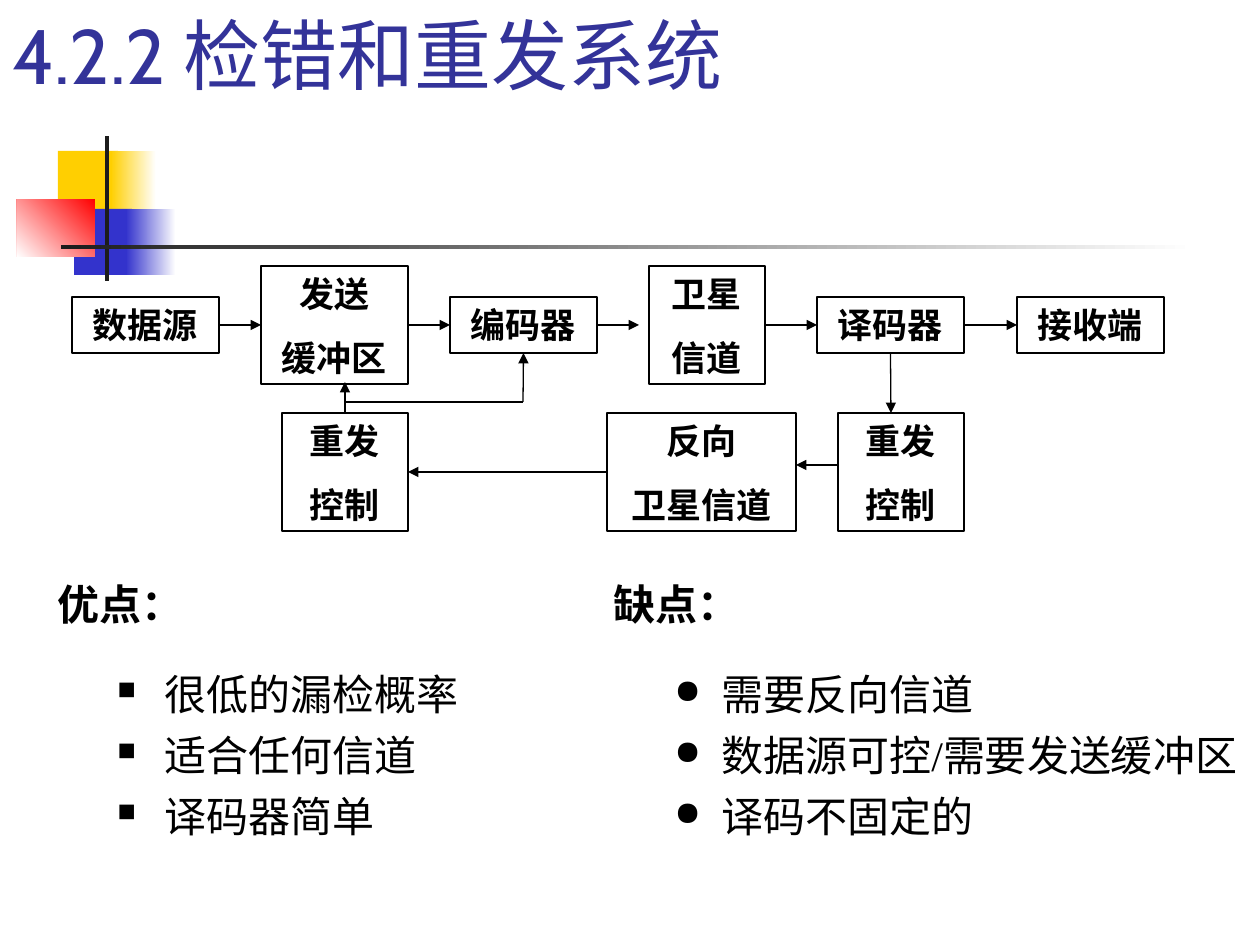
"""Build the slide on error detection and retransmission systems."""
from dataclasses import dataclass

from lxml.etree import SubElement
from pptx import Presentation
from pptx.dml.color import RGBColor
from pptx.enum.shapes import MSO_CONNECTOR, MSO_SHAPE
from pptx.enum.text import MSO_ANCHOR, MSO_AUTO_SIZE, PP_ALIGN
from pptx.oxml.ns import qn
from pptx.util import Emu, Pt

TOP, LEFT, BOTTOM, RIGHT = range(4)


@dataclass(frozen=True)
class Theme:
    title_font: str = "Cabin"
    body_font: str = "Times New Roman"
    title_size: int = 44
    body_size: int = 24
    box_size: int = 20
    line_width: float = 0.75
    title: str = "333399"
    ink: str = "000000"
    white: str = "FFFFFF"
    yellow: str = "FFCF01"
    blue: str = "3333CC"
    red: str = "FF0000"
    dark: str = "1C1C1C"


def px(length):
    return Emu(round(length * 914400 / 126))


def add_bullet(paragraph, character, percent, color):
    properties = paragraph._p.get_or_add_pPr()
    properties.set("marL", str(px(47)))
    properties.set("indent", str(px(-47)))
    bullet_color = SubElement(properties, qn("a:buClr"))
    SubElement(bullet_color, qn("a:srgbClr"), val=color)
    SubElement(properties, qn("a:buSzPct"), val=str(percent * 1000))
    SubElement(properties, qn("a:buChar"), char=character)


def write_text(frame, text, *, font, size, color, bold=False,
               align=PP_ALIGN.LEFT, gap=0, bullet=None):
    for index, line in enumerate(text.split("\n")):
        paragraph = frame.paragraphs[0] if index == 0 else frame.add_paragraph()
        if bullet:
            add_bullet(paragraph, *bullet, color)
        paragraph.alignment = align
        if index:
            paragraph.space_before = Pt(gap)
        run = paragraph.add_run()
        run.text = line
        run.font.name = font
        run.font.size = Pt(size)
        run.font.bold = bold
        run.font.color.rgb = RGBColor.from_string(color)


class SlideBuilder:
    def __init__(self, slide, theme):
        self.slide = slide
        self.theme = theme

    def rectangle(self, left, top, width, height):
        shape = self.slide.shapes.add_shape(
            MSO_SHAPE.RECTANGLE, px(left), px(top), px(width), px(height))
        shape.shadow.inherit = False
        return shape

    def block(self, bounds, color):
        shape = self.rectangle(*bounds)
        shape.line.fill.background()
        shape.fill.solid()
        shape.fill.fore_color.rgb = RGBColor.from_string(color)

    def fade(self, bounds, start, end, angle=180):
        shape = self.rectangle(*bounds)
        shape.line.fill.background()
        shape.fill.gradient()
        shape.fill.gradient_angle = angle
        for stop, color in zip(shape.fill.gradient_stops, (start, end)):
            stop.color.rgb = RGBColor.from_string(color)
        shape.fill.gradient_stops[0].position = 0
        shape.fill.gradient_stops[1].position = 1

    def box(self, text, left, top, width, height):
        shape = self.rectangle(left, top, width, height)
        shape.fill.background()
        shape.line.color.rgb = RGBColor.from_string(self.theme.ink)
        shape.line.width = Pt(self.theme.line_width)
        shape.text_frame.vertical_anchor = MSO_ANCHOR.TOP
        write_text(shape.text_frame, text, font=self.theme.body_font,
                   size=self.theme.box_size, color=self.theme.ink, bold=True,
                   align=PP_ALIGN.CENTER, gap=12.5)
        return shape

    def text(self, text, bounds, *, wrap=True, anchor=MSO_ANCHOR.TOP, **style):
        shape = self.slide.shapes.add_textbox(*map(px, bounds))
        frame = shape.text_frame
        frame.word_wrap = wrap
        frame.auto_size = MSO_AUTO_SIZE.NONE if wrap else MSO_AUTO_SIZE.SHAPE_TO_FIT_TEXT
        frame.vertical_anchor = anchor
        style = {"font": self.theme.body_font, "size": self.theme.body_size,
                 "color": self.theme.ink} | style
        write_text(frame, text, **style)

    def line(self, start, end, begin=None, finish=None, arrow=True):
        connector = self.slide.shapes.add_connector(
            MSO_CONNECTOR.STRAIGHT, *map(px, (*start, *end)))
        if begin:
            connector.begin_connect(*begin)
        if finish:
            connector.end_connect(*finish)
        connector.line.color.rgb = RGBColor.from_string(self.theme.ink)
        connector.line.width = Pt(self.theme.line_width)
        if arrow:
            SubElement(connector.line._get_or_add_ln(), qn("a:tailEnd"), type="triangle")
        SubElement(connector._element.spPr, qn("a:effectLst"))


def draw_decoration(builder):
    theme = builder.theme
    builder.block((58, 151, 60, 66), theme.yellow)
    builder.fade((111, 151, 45, 66), theme.white, theme.yellow)
    builder.block((74, 209, 58, 66), theme.blue)
    builder.fade((126, 209, 50, 66), theme.white, theme.blue)
    builder.fade((17, 199, 78, 58), theme.red, theme.white, 225)
    builder.block((105, 136, 4, 145), theme.dark)
    builder.fade((61, 245, 1134, 4), theme.white, theme.dark)


def draw_diagram(builder):
    middle, short, tall, lower = 325, 56, 118, 413
    stages = [("数据源", 72, 147), ("发送\n缓冲区", 261, 147), ("编码器", 450, 147),
              ("卫星\n信道", 649, 116), ("译码器", 817, 147), ("接收端", 1017, 147)]
    row = []
    for text, left, width in stages:
        height = tall if "\n" in text else short
        row.append(builder.box(text, left, middle - height // 2, width, height))
    source, buffer, encoder, channel, decoder, receiver = row
    send_control = builder.box("重发\n控制", 282, lower, 126, tall)
    reverse_channel = builder.box("反向\n卫星信道", 607, lower, 189, tall)
    receive_control = builder.box("重发\n控制", 838, lower, 126, tall)

    origin = (0, 0)
    for left_box, right_box in ((source, buffer), (buffer, encoder),
                                (channel, decoder), (decoder, receiver)):
        builder.line(origin, origin, (left_box, RIGHT), (right_box, LEFT))
    builder.line((597, middle), (639, middle), (encoder, RIGHT))
    builder.line(origin, (891, lower), (decoder, BOTTOM))
    builder.line((838, 465), (796, 465))
    builder.line(origin, origin, (reverse_channel, LEFT), (send_control, RIGHT))
    builder.line(origin, (345, 382), (send_control, TOP))
    builder.line((345, 402), (523, 402), arrow=False)
    builder.line((523, 402), origin, finish=(encoder, BOTTOM))


def main():
    presentation = Presentation()
    presentation.slide_width, presentation.slide_height = px(1260), px(945)
    theme = Theme()
    builder = SlideBuilder(
        presentation.slides.add_slide(presentation.slide_layouts[6]), theme)
    draw_decoration(builder)
    builder.text("4.2.2 检错和重发系统", (0, 0, 1071, 106), anchor=MSO_ANCHOR.BOTTOM,
                 font=theme.title_font, size=theme.title_size, color=theme.title)
    draw_diagram(builder)
    for heading, left in (("优点：", 45), ("缺点：", 601)):
        builder.text(heading, (left, 572, 151, 63), wrap=False, bold=True)
    builder.text("很低的漏检概率\n适合任何信道\n译码器简单", (105, 662, 525, 220),
                 font=theme.title_font, gap=6, bullet=("■", 60))
    builder.text("需要反向信道\n数据源可控/需要发送缓冲区\n译码不固定的",
                 (662, 662, 598, 220), gap=6, bullet=("●", 80))
    presentation.save("out.pptx")


if __name__ == "__main__":
    main()
